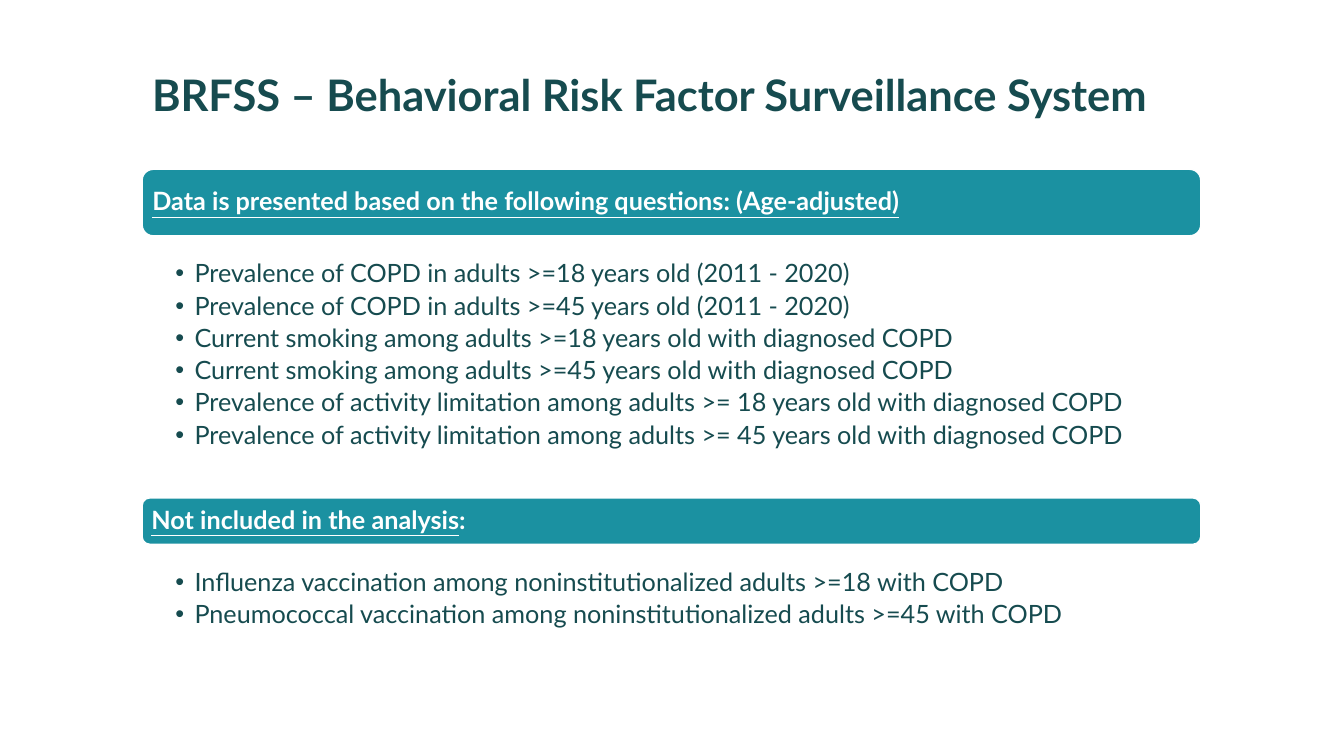
from lxml.etree import SubElement
from pptx import Presentation
from pptx.dml.color import RGBColor
from pptx.enum.shapes import MSO_SHAPE as Shape
from pptx.enum.text import MSO_ANCHOR as Anchor, PP_ALIGN as Align
from pptx.oxml.ns import qn
from pptx.util import Inches, Pt

TEAL = RGBColor(0x1B, 0x91, 0xA1)
DARK_TEAL = RGBColor(0x16, 0x4B, 0x4F)
WHITE = RGBColor(0xFF, 0xFF, 0xFF)
FONT = "Lato"
LEFT, WIDTH = 1.41, 10.5
BAR_TO_LIST = 0.23

# Bar top, bar height, heading runs as (text, underlined), bullets, list height
SECTIONS = [
    (1.68, 0.66,
     [("Data is presented based on the following questions: (Age-adjusted)", True)],
     ["Prevalence of COPD in adults >=18 years old (2011 - 2020)",
      "Prevalence of COPD in adults >=45 years old (2011 - 2020)",
      "Current smoking among adults >=18 years old with diagnosed COPD",
      "Current smoking among adults >=45 years old with diagnosed COPD",
      "Prevalence of activity limitation among adults >= 18 years old with diagnosed COPD",
      "Prevalence of activity limitation among adults >= 45 years old with diagnosed COPD"],
     2.26),
    (4.94, 0.46,
     [("Not included in the analysis", True), (":", False)],
     ["Influenza vaccination among noninstitutionalized adults >=18 with COPD",
      "Pneumococcal vaccination among noninstitutionalized adults >=45 with COPD"],
     0.86),
]


def set_frame(frame, anchor, left, top, right, bottom):
    frame.word_wrap = True
    frame.vertical_anchor = anchor
    frame.margin_left, frame.margin_top = Inches(left), Inches(top)
    frame.margin_right, frame.margin_bottom = Inches(right), Inches(bottom)


def add_run(paragraph, text, size, color, bold=False, underline=False):
    paragraph.alignment = Align.LEFT
    paragraph.line_spacing = 0.9
    run = paragraph.add_run()
    run.text = text
    font = run.font
    font.name, font.size, font.bold = FONT, Pt(size), bold
    font.underline = underline
    font.color.rgb = color


def add_bullet(paragraph):
    properties = paragraph._p.get_or_add_pPr()
    properties.set("marL", str(Inches(0.19)))
    properties.set("indent", str(Inches(-0.19)))
    SubElement(properties, qn("a:buFont")).set("typeface", "Arial")
    SubElement(properties, qn("a:buChar")).set("char", "•")


def add_title(slide, left, top, width, height, text):
    box = slide.shapes.add_textbox(*map(Inches, (left, top, width, height)))
    set_frame(box.text_frame, Anchor.BOTTOM, 0.1, 0.05, 0.1, 0.05)
    add_run(box.text_frame.paragraphs[0], text, 31, DARK_TEAL, bold=True)


def add_heading_bar(slide, left, top, width, height, runs):
    bar = slide.shapes.add_shape(
        Shape.ROUNDED_RECTANGLE, *map(Inches, (left, top, width, height)))
    bar.shadow.inherit = False
    bar.fill.solid()
    bar.fill.fore_color.rgb = TEAL
    bar.line.color.rgb = WHITE
    bar.line.width = Pt(1)
    set_frame(bar.text_frame, Anchor.MIDDLE, 0.07, 0.07, 0.07, 0.07)
    for text, underline in runs:
        add_run(bar.text_frame.paragraphs[0], text, 18, WHITE, True, underline)


def add_bullet_list(slide, left, top, width, height, items):
    box = slide.shapes.add_textbox(*map(Inches, (left, top, width, height)))
    frame = box.text_frame
    set_frame(frame, Anchor.TOP, 0.33, 0.02, 0.12, 0.02)
    for index, item in enumerate(items):
        paragraph = frame.add_paragraph() if index else frame.paragraphs[0]
        add_run(paragraph, item, 18, DARK_TEAL)
        paragraph.space_after = Pt(3.6)
        add_bullet(paragraph)


def main():
    presentation = Presentation()
    presentation.slide_width = Inches(13.33)
    presentation.slide_height = Inches(7.5)
    slide = presentation.slides.add_slide(presentation.slide_layouts[6])
    add_title(slide, LEFT, 0.58, WIDTH, 0.67,
              "BRFSS – Behavioral Risk Factor Surveillance System")
    for top, bar_height, heading, items, list_height in SECTIONS:
        add_heading_bar(slide, LEFT, top, WIDTH, bar_height, heading)
        add_bullet_list(slide, LEFT, top + bar_height + BAR_TO_LIST,
                        WIDTH, list_height, items)
    presentation.save("out.pptx")


if __name__ == "__main__":
    main()
